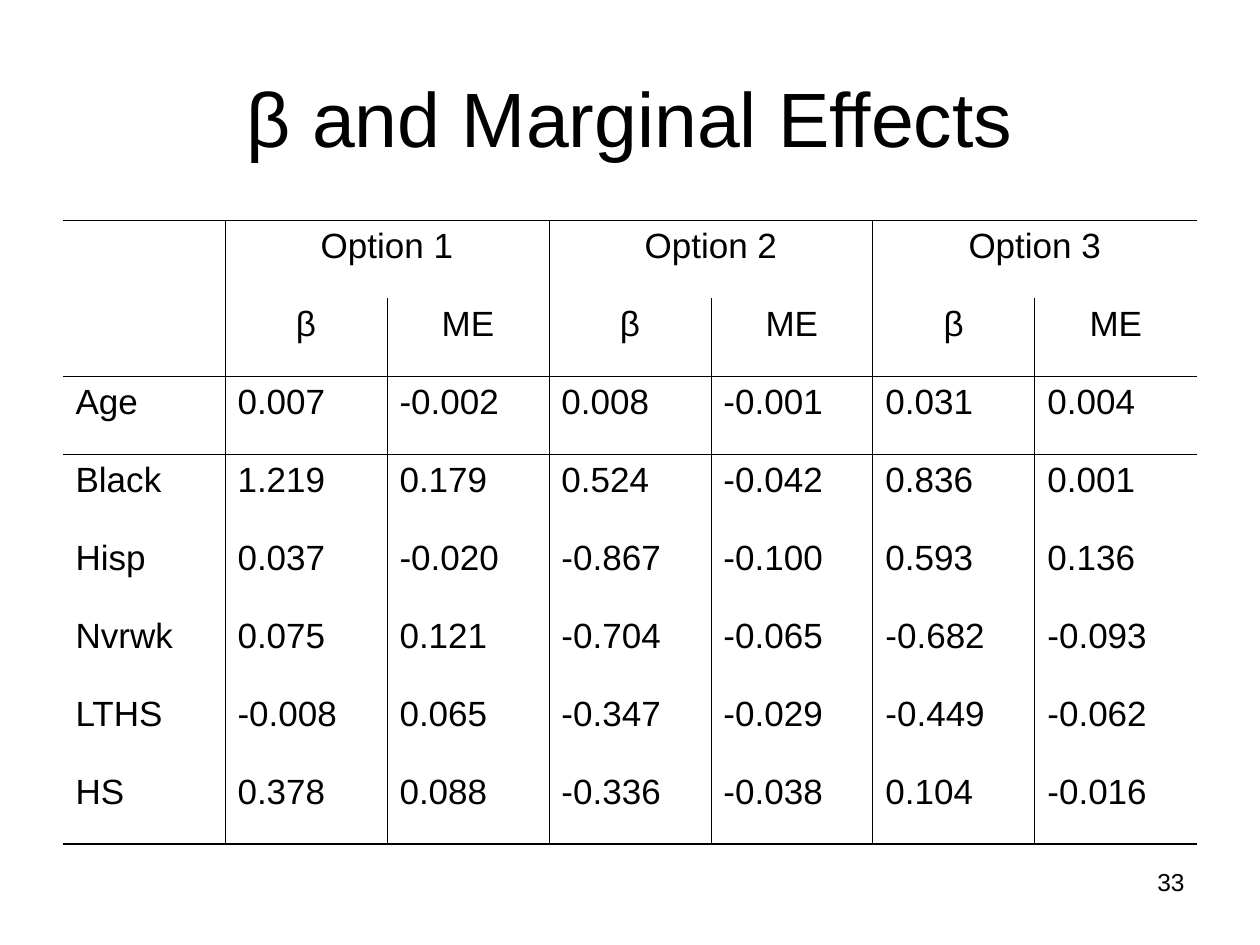
from lxml.etree import SubElement
from pptx import Presentation
from pptx.dml.color import RGBColor
from pptx.enum.text import MSO_ANCHOR, PP_ALIGN
from pptx.oxml.ns import qn
from pptx.util import Inches, Pt

BLACK = RGBColor(0x00, 0x00, 0x00)
FONT = "Arial"
THIN, THICK = Pt(0.45), Pt(1.08)
NO_STYLE_NO_GRID = "{2D5ABB26-0587-4C30-8999-92F81FD0307C}"

# Content
TITLE = "β and Marginal Effects"
PAGE_NUMBER = "33"
OPTIONS = ["Option 1", "Option 2", "Option 3"]
MEASURES = ["β", "ME"]
EFFECTS = [
    ("Age", "0.007", "-0.002", "0.008", "-0.001", "0.031", "0.004"),
    ("Black", "1.219", "0.179", "0.524", "-0.042", "0.836", "0.001"),
    ("Hisp", "0.037", "-0.020", "-0.867", "-0.100", "0.593", "0.136"),
    ("Nvrwk", "0.075", "0.121", "-0.704", "-0.065", "-0.682", "-0.093"),
    ("LTHS", "-0.008", "0.065", "-0.347", "-0.029", "-0.449", "-0.062"),
    ("HS", "0.378", "0.088", "-0.336", "-0.038", "0.104", "-0.016"),
]

# Grid: two header rows, then one row per variable
option_row = [""]
for option in OPTIONS:
    option_row += [option, ""]
rows = [option_row, [""] + MEASURES * len(OPTIONS), *EFFECTS]
HEADER_ROWS = 2
ROW_COUNT, COLUMN_COUNT = len(rows), len(rows[0])
OPTION_STARTS = range(1, COLUMN_COUNT, len(MEASURES))

# Rules by grid line: line 0 is the left or top edge
VERTICAL_RULES = {start: THIN for start in OPTION_STARTS}
HORIZONTAL_RULES = {0: THICK, HEADER_ROWS: THIN, ROW_COUNT: THICK}


def write(frame, text, size, align):
    frame.text = text
    paragraph = frame.paragraphs[0]
    paragraph.alignment = align
    paragraph.font.name = FONT
    paragraph.font.size = Pt(size)
    paragraph.font.color.rgb = BLACK


def add_borders(cell, row, column):
    widths = {
        "a:lnL": VERTICAL_RULES.get(column),
        "a:lnR": VERTICAL_RULES.get(column + 1),
        "a:lnT": HORIZONTAL_RULES.get(row),
        "a:lnB": HORIZONTAL_RULES.get(row + 1),
    }
    properties = cell._tc.get_or_add_tcPr()
    for side, width in widths.items():
        if width:
            line = SubElement(properties, qn(side), w=str(int(width)))
            fill = SubElement(line, qn("a:solidFill"))
            SubElement(fill, qn("a:srgbClr"), val=str(BLACK))


def main():
    prs = Presentation()
    prs.slide_width, prs.slide_height = Inches(10), Inches(7.5)
    slide = prs.slides.add_slide(prs.slide_layouts[5])

    # Title
    title = slide.shapes.title
    title.left, title.top = Inches(0.5), Inches(0.3)
    title.width, title.height = Inches(9), Inches(1.25)
    title.text_frame.vertical_anchor = MSO_ANCHOR.MIDDLE
    write(title.text_frame, TITLE, 44, PP_ALIGN.CENTER)

    # Table of coefficients and marginal effects
    frame = slide.shapes.add_table(ROW_COUNT, COLUMN_COUNT, Inches(0.5),
                                   Inches(1.75), Inches(9), Inches(4.95))
    table = frame.table
    table.first_row = table.horz_banding = False
    table._tbl.tblPr.find(qn("a:tableStyleId")).text = NO_STYLE_NO_GRID
    for start in OPTION_STARTS:
        table.cell(0, start).merge(table.cell(0, start + len(MEASURES) - 1))

    for r, row in enumerate(rows):
        align = PP_ALIGN.CENTER if r < HEADER_ROWS else PP_ALIGN.LEFT
        for c, text in enumerate(row):
            cell = table.cell(r, c)
            write(cell.text_frame, text, 20, align)
            add_borders(cell, r, c)
            cell.fill.background()

    # Page number
    page_number = slide.shapes.add_textbox(Inches(7.17), Inches(6.83),
                                           Inches(2.33), Inches(0.52))
    page_number.text_frame.word_wrap = True
    write(page_number.text_frame, PAGE_NUMBER, 14, PP_ALIGN.RIGHT)

    prs.save("out.pptx")


if __name__ == "__main__":
    main()
